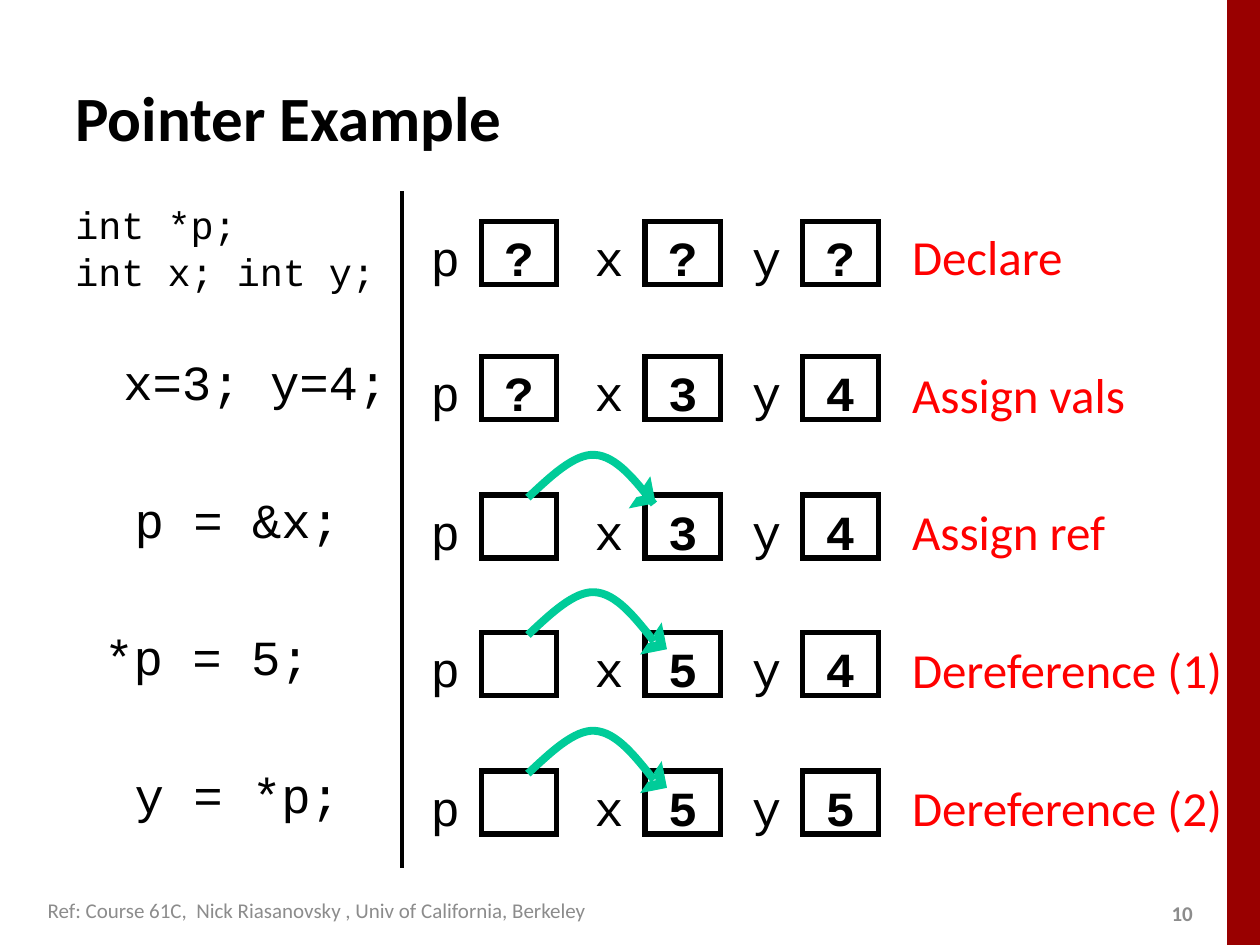
import dataclasses

import pptx
import pptx.dml.color
import pptx.enum.shapes
import pptx.enum.text
import pptx.oxml.ns
import pptx.util

PX = 9144
MONO, SANS = "Courier New", "Calibri"
BLACK, RED, GREEN, GRAY = "000000", "FF0000", "00CC99", "8C8C8C"
KIND = pptx.enum.shapes.MSO_SHAPE
ANCHOR = pptx.enum.text.MSO_ANCHOR
ALIGN = pptx.enum.text.PP_ALIGN


@dataclasses.dataclass
class Font:
    name: str
    size: int
    color: str = BLACK
    bold: bool = False


@dataclasses.dataclass
class Line:
    text: str
    font: Font
    gap: float = 0
    left: int = 0


@dataclasses.dataclass
class Row:
    top: int
    cells: str
    note: str
    tip: tuple[int, int] | None = None


CODE = Font(MONO, 28)
SMALL = Font(MONO, 22)
VALUE = Font(MONO, 28, bold=True)
NOTE = Font(SANS, 28, RED)

NAMES = {"p": 382, "x": 512, "y": 637}
ROWS = [
    Row(176, "???", "Declare"),
    Row(283, "?34", "Assign vals"),
    Row(393, " 34", "Assign ref", (498, 381)),
    Row(502, " 54", "Dereference (1)", (507, 497)),
    Row(612, " 55", "Dereference (2)", (507, 607)),
]
STEPS = [
    Line("int *p;", SMALL),
    Line("int x; int y;", SMALL),
    Line("x=3; y=4;", CODE, 33, 38),
    Line("p = &x;", CODE, 45, 47),
    Line("*p = 5;", CODE, 45, 23),
    Line("y = *p;", CODE, 45, 47),
]

deck = pptx.Presentation()
deck.slide_width, deck.slide_height = 1000 * PX, 750 * PX
slide = deck.slides.add_slide(deck.slide_layouts[6])
shapes = slide.shapes


def rgb(color: str) -> pptx.dml.color.RGBColor:
    return pptx.dml.color.RGBColor.from_string(color)


def write(frame, lines: list[Line], anchor=ANCHOR.TOP, align=ALIGN.LEFT) -> None:
    frame.word_wrap = True
    frame.vertical_anchor = anchor
    for i, line in enumerate(lines):
        para = frame.paragraphs[0] if i == 0 else frame.add_paragraph()
        para.text = line.text
        para.alignment = align
        para.space_before = pptx.util.Pt(line.gap)
        if line.left:
            para._p.get_or_add_pPr().set("marL", str(line.left * PX))
        font = para.font
        font.name, font.bold = line.font.name, line.font.bold
        font.size = pptx.util.Pt(line.font.size)
        font.color.rgb = rgb(line.font.color)


def text(x: int, y: int, w: int, h: int, lines: list[Line], anchor=ANCHOR.TOP) -> None:
    box = shapes.add_textbox(x * PX, y * PX, w * PX, h * PX)
    write(box.text_frame, lines, anchor)


def style(shape, fill: str = "", line: str = "", width: float = 0) -> None:
    shape.shadow.inherit = False
    if fill:
        shape.fill.solid()
        shape.fill.fore_color.rgb = rgb(fill)
    else:
        shape.fill.background()
    if line:
        shape.line.color.rgb = rgb(line)
        shape.line.width = pptx.util.Pt(width)
        edge = shape.line._get_or_add_ln()
        edge.append(edge.makeelement(pptx.oxml.ns.qn("a:miter"), {"lim": "800000"}))
    else:
        shape.line.fill.background()


def block(kind, x: int, y: int, w: int, h: int):
    return shapes.add_shape(kind, x * PX, y * PX, w * PX, h * PX)


def cell(name: str, x: int, y: int, value: str) -> None:
    box = block(KIND.RECTANGLE, x, y, 60, 50)
    style(box, line=BLACK, width=3)
    if value.strip():
        box.text_frame.margin_bottom = 0
        write(box.text_frame, [Line(value, VALUE)], align=ALIGN.CENTER)
    text(x - 50, y, 44, 57, [Line(name, CODE)])


def curve(a: tuple, b: tuple, c: tuple, d: tuple, count: int = 16) -> list[tuple]:
    spots = []
    for i in range(1, count + 1):
        t = i / count
        u = 1 - t
        spots.append(tuple(
            (u**3 * p + 3 * u * u * t * q + 3 * u * t * t * r + t**3 * s) * PX
            for p, q, r, s in zip(a, b, c, d)
        ))
    return spots


def arrow(top: int) -> None:
    x, y = 419, top + 2
    peak = (x + 53, y - 34)
    build = shapes.build_freeform(x * PX, y * PX)
    build.add_line_segments(
        curve((x, y), (x + 18, y - 17), (x + 37, y - 35), peak)
        + curve(peak, (x + 70, y - 33), (x + 85, y - 14), (x + 100, y + 5)),
        close=False,
    )
    style(build.convert_to_shape(), line=GREEN, width=4.5)


def head(x: int, y: int) -> None:
    tip = block(KIND.HALF_FRAME, x, y, 20, 20)
    tip.rotation = 168.9
    style(tip, GREEN, GREEN, 0.75)


def rule(x: int, top: int, end: int) -> None:
    kind = pptx.enum.shapes.MSO_CONNECTOR.STRAIGHT
    line = shapes.add_connector(kind, x * PX, top * PX, x * PX, end * PX)
    line.line.color.rgb = rgb(BLACK)
    line.line.width = pptx.util.Pt(2)
    props = line._element.spPr
    props.append(props.makeelement(pptx.oxml.ns.qn("a:effectLst"), {}))


def main() -> None:
    style(block(KIND.RECTANGLE, 974, 0, 26, 750), "990000")
    text(920, 710, 40, 30, [Line("10", Font(SANS, 12, GRAY, True))], ANCHOR.MIDDLE)
    title = Line("Pointer Example", Font(SANS, 36, bold=True))
    text(50, 30, 900, 125, [title], ANCHOR.MIDDLE)
    text(50, 155, 275, 547, STEPS)
    notes = [Line(row.note, NOTE, 45 if i else 0) for i, row in enumerate(ROWS)]
    text(714, 175, 285, 530, notes)
    for row in ROWS:
        for (name, x), value in zip(NAMES.items(), row.cells):
            cell(name, x, row.top, value)
        if row.tip:
            arrow(row.top)
            head(*row.tip)
    rule(319, 152, 689)
    credit = "Ref: Course 61C,  Nick Riasanovsky , Univ of California, Berkeley"
    text(28, 703, 574, 39, [Line(credit, Font(SANS, 12, GRAY))], ANCHOR.MIDDLE)
    deck.save("out.pptx")


if __name__ == "__main__":
    main()
